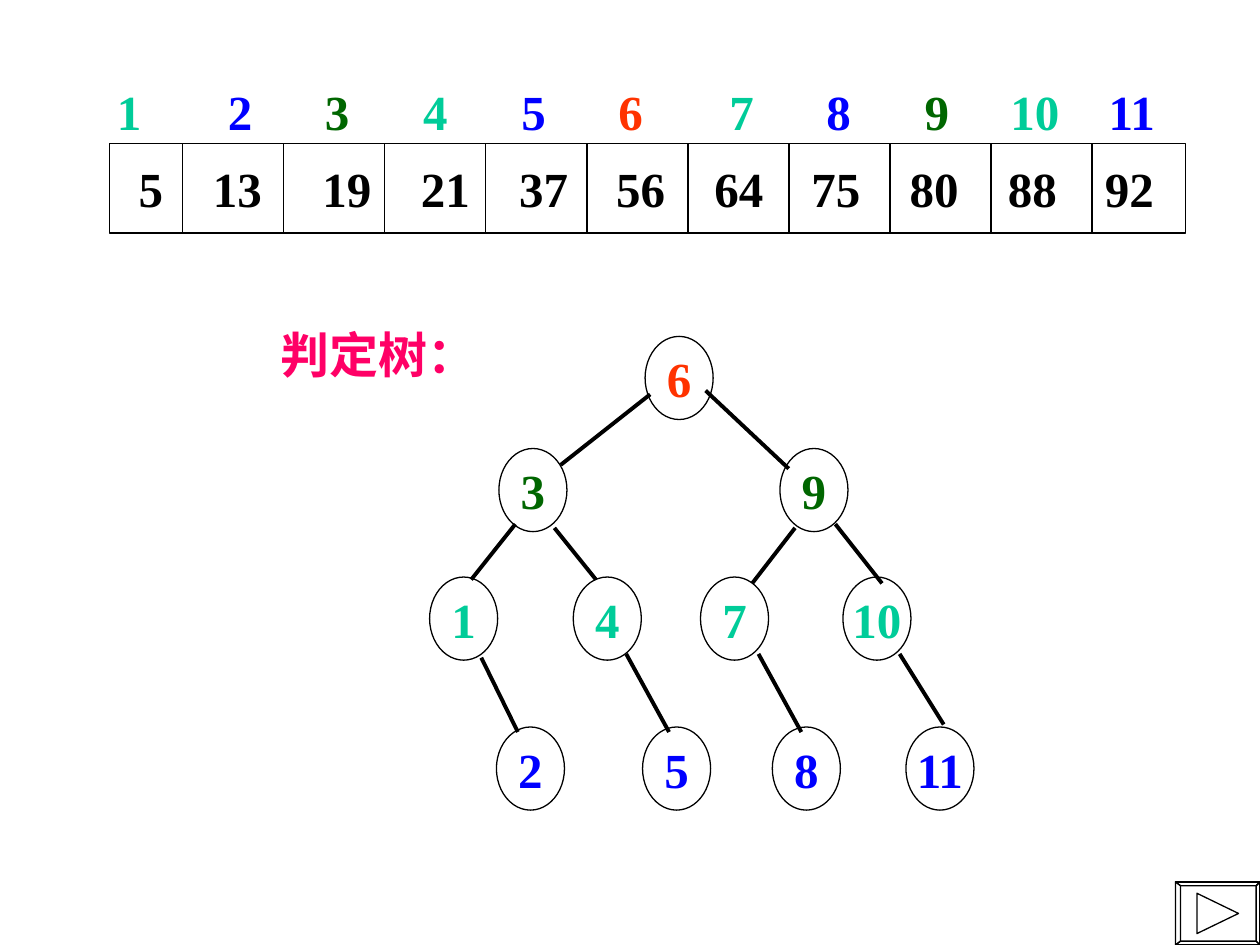
"""Build a slide with a sorted array and its binary search decision tree."""
from lxml import etree
from pptx import Presentation
from pptx.dml.color import RGBColor
from pptx.enum.shapes import MSO_CONNECTOR, MSO_SHAPE
from pptx.enum.text import MSO_ANCHOR, PP_ALIGN
from pptx.oxml.ns import qn
from pptx.util import Inches, Pt

STRAIGHT = MSO_CONNECTOR.STRAIGHT
OVAL, RECT = MSO_SHAPE.OVAL, MSO_SHAPE.RECTANGLE
MIDDLE, TOP = MSO_ANCHOR.MIDDLE, MSO_ANCHOR.TOP
LEFT, CENTER = PP_ALIGN.LEFT, PP_ALIGN.CENTER

BLACK = RGBColor(0x00, 0x00, 0x00)
RED = RGBColor(0xFF, 0x33, 0x00)
GREEN = RGBColor(0x00, 0x66, 0x00)
TEAL = RGBColor(0x00, 0xCC, 0x99)
BLUE = RGBColor(0x00, 0x00, 0xFF)
PINK = RGBColor(0xFF, 0x00, 0x66)
FONT = "Times New Roman"

VALUES = [5, 13, 19, 21, 37, 56, 64, 75, 80, 88, 92]
VALUE_TABS = [0.59, 1.46, 2.24, 3.02, 3.79, 4.57, 5.34, 6.12, 6.9, 7.67]
INDEX_TABS = [0.88, 1.65, 2.43, 3.21, 3.98, 4.86, 5.63, 6.41, 7.09, 7.87]
LEVELS = [
    (2.67, RED, {6: 5.12}),
    (3.56, GREEN, {3: 3.96, 9: 6.19}),
    (4.58, TEAL, {1: 3.41, 4: 4.55, 7: 5.56, 10: 6.69}),
    (5.77, BLUE, {2: 3.94, 5: 5.1, 8: 6.13, 11: 7.19}),
]
EDGES = [
    (5.16, 3.13, 4.45, 3.69), (5.6, 3.1, 6.26, 3.72),
    (4.09, 4.16, 3.74, 4.6), (4.4, 4.19, 4.73, 4.6),
    (6.31, 4.19, 5.97, 4.63), (6.63, 4.16, 7, 4.63),
    (3.82, 5.22, 4.11, 5.81), (4.97, 5.19, 5.31, 5.81),
    (6.02, 5.19, 6.36, 5.81), (7.14, 5.19, 7.49, 5.75),
]
OUTER = [(9.33, 7), (10, 7), (10, 7.5), (9.33, 7.5)]
INNER = [(9.37, 7.03), (9.97, 7.03), (9.97, 7.47), (9.37, 7.47)]
ARROW = [(9.5, 7.09), (9.83, 7.25), (9.5, 7.41)]


def write(shape, runs, align=LEFT, anchor=TOP, wrap=False, inset=0.1, tabs=()):
    frame = shape.text_frame
    frame.word_wrap = wrap
    frame.vertical_anchor = anchor
    frame.margin_left = Inches(inset)
    frame.margin_right = Inches(0 if tabs else 0.1)
    para = frame.paragraphs[0]
    para.alignment = align
    if tabs:
        stops = etree.SubElement(para._p.get_or_add_pPr(), qn("a:tabLst"))
        for pos in tabs:
            etree.SubElement(stops, qn("a:tab"), pos=str(Inches(pos)), algn="l")
    for words, color in runs:
        run = para.add_run()
        run.text = words
        run.font.name, run.font.size, run.font.bold = FONT, Pt(28), True
        run.font.color.rgb = color


def outline(shape):
    shape.shadow.inherit = False
    shape.fill.background()
    shape.line.color.rgb = BLACK
    shape.line.width = Pt(0.75)
    return shape


def add_shape(slide, kind, *box):
    return outline(slide.shapes.add_shape(kind, *map(Inches, box)))


def add_box(slide, *box):
    return slide.shapes.add_textbox(*map(Inches, box))


def add_line(slide, ends, width):
    line = slide.shapes.add_connector(STRAIGHT, *map(Inches, ends))
    line.line.color.rgb = BLACK
    line.line.width = Pt(width)
    etree.SubElement(line._element.spPr, qn("a:effectLst"))


def add_button(slide):
    bevels = []
    for i in range(4):
        j = (i + 1) % 4
        bevels.append([OUTER[i], OUTER[j], INNER[j], INNER[i]])
    pen = slide.shapes.build_freeform(*map(Inches, OUTER[0]))
    for part in [OUTER, *bevels, ARROW]:
        points = [tuple(map(Inches, point)) for point in part]
        pen.move_to(*points[0])
        pen.add_line_segments(points[1:], close=True)
    outline(pen.convert_to_shape())


def add_tree(slide):
    for top, color, nodes in LEVELS:
        for key, left in nodes.items():
            node = add_shape(slide, OVAL, left, top, 0.54, 0.66)
            write(node, [(str(key), color)], align=CENTER, anchor=MIDDLE)
    for ends in EDGES:
        add_line(slide, ends, 2.25)
    write(add_box(slide, 2.13, 2.53, 1.75, 0.57), [("判定树：", PINK)])


def join(items, colors):
    return [(f"\t{item}" if i else str(item), color)
            for i, (item, color) in enumerate(zip(items, colors))]


def add_array(slide):
    hues = {key: color for _, color, nodes in LEVELS for key in nodes}
    keys = sorted(hues)
    write(add_box(slide, 0.83, 0.6, 8.45, 0.57),
          join(keys, [hues[key] for key in keys]), wrap=True, tabs=INDEX_TABS)
    row = add_shape(slide, RECT, 0.87, 1.14, 8.54, 0.71)
    write(row, join(VALUES, [BLACK] * len(VALUES)), anchor=MIDDLE, wrap=True,
          inset=0.23, tabs=VALUE_TABS)
    for i in range(len(VALUES) - 1):
        x = 1.45 + i * 0.802
        add_line(slide, (x, 1.14, x, 1.86), 0.75)


def main():
    deck = Presentation()
    deck.slide_width, deck.slide_height = Inches(10), Inches(7.5)
    slide = deck.slides.add_slide(deck.slide_layouts[6])
    add_button(slide)
    add_tree(slide)
    add_array(slide)
    deck.save("out.pptx")


if __name__ == "__main__":
    main()
